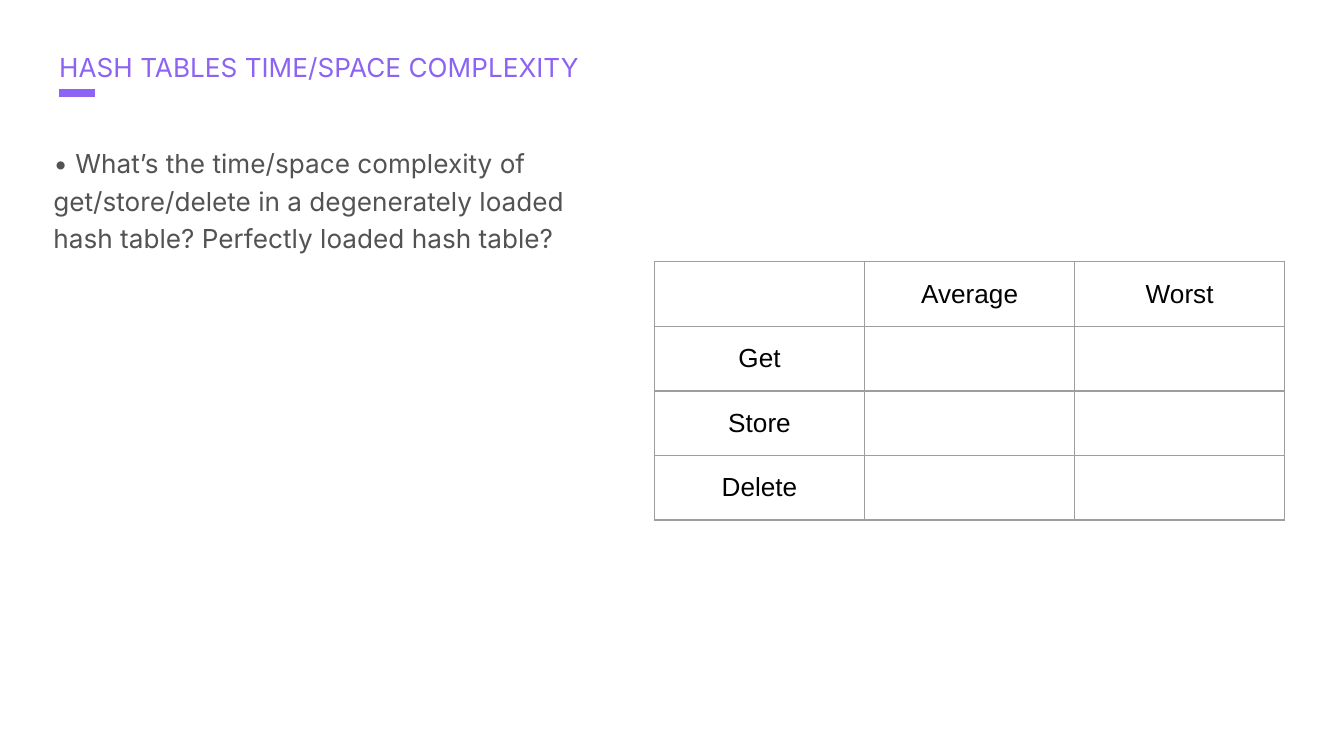
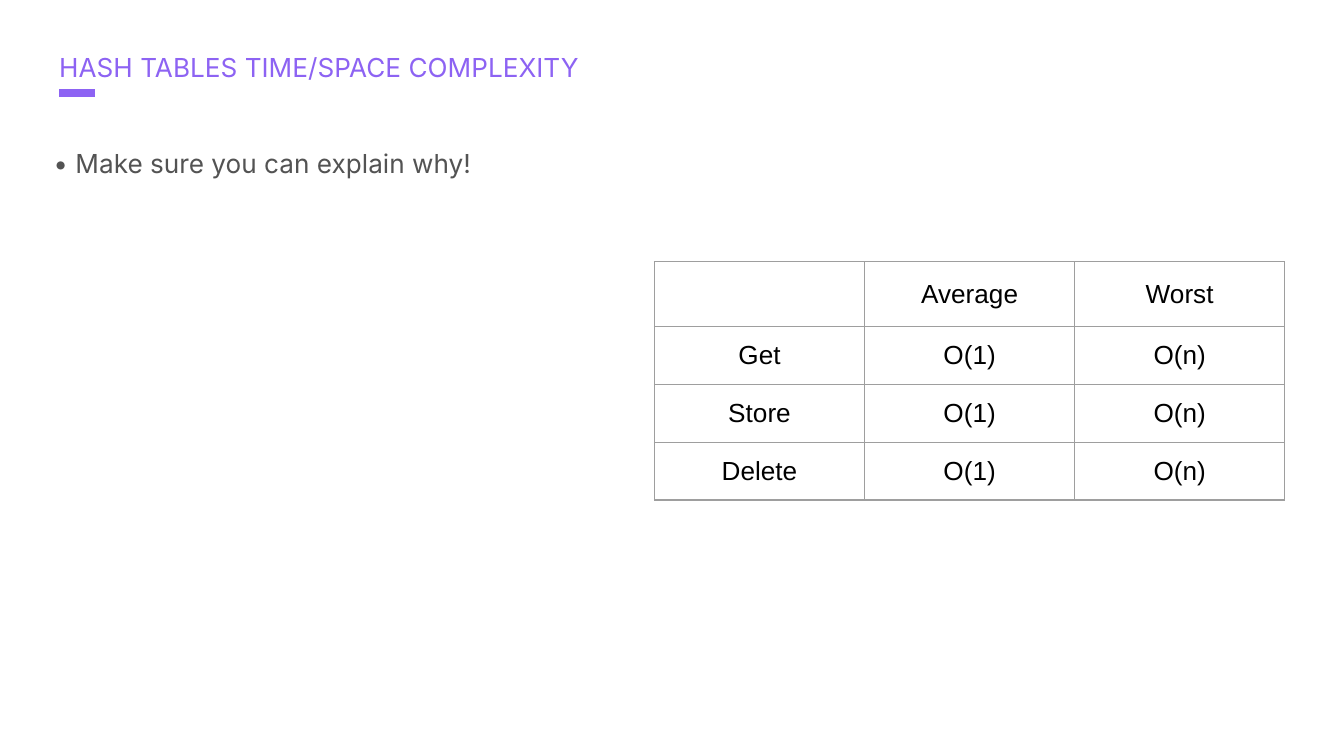
from lxml import etree
from pptx import Presentation
from pptx.dml.color import RGBColor
from pptx.enum.shapes import MSO_CONNECTOR
from pptx.enum.text import MSO_ANCHOR, PP_ALIGN
from pptx.oxml.ns import qn
from pptx.util import Cm, Pt

TITLE = "HASH TABLES TIME/SPACE COMPLEXITY"
HEAD = ("", "Average", "Worst")
SLIDES = [
    {
        "note": "• What’s the time/space complexity of get/store/delete in a "
                "degenerately loaded hash table? Perfectly loaded hash table?",
        "rows": [HEAD, ("Get", "", ""), ("Store", "", ""), ("Delete", "", "")],
    },
    {
        "note": "• Make sure you can explain why!",
        "rows": [HEAD] + [(name, "O(1)", "O(n)")
                          for name in ("Get", "Store", "Delete")],
    },
]

PURPLE = RGBColor(0x8D, 0x63, 0xF3)
GRAY = RGBColor(0x53, 0x53, 0x53)
BLACK = RGBColor(0, 0, 0)
RULE = RGBColor(0x9E, 0x9E, 0x9E)
STRAIGHT = MSO_CONNECTOR.STRAIGHT
TOP, MIDDLE, BOTTOM = MSO_ANCHOR.TOP, MSO_ANCHOR.MIDDLE, MSO_ANCHOR.BOTTOM
CENTER = PP_ALIGN.CENTER

LEFT = Cm(1.12)
BAR_Y = Cm(1.76)
COL = Cm(3.97)
TALL, SHORT = Cm(1.22), Cm(1.06)  # rows with and without an empty cell


def add_run(par, text, font, color):
    run = par.add_run()
    run.text = text
    run.font.name = font
    run.font.size = Pt(14)
    run.font.color.rgb = color


def set_inset(box, size):
    box.margin_left = box.margin_right = size
    box.margin_top = box.margin_bottom = size


def add_text(slide, text, place, color, inset, anchor):
    frame = slide.shapes.add_textbox(*place).text_frame
    frame.word_wrap = True
    frame.vertical_anchor = anchor
    set_inset(frame, inset)
    par = frame.paragraphs[0]
    add_run(par, text, "Inter", color)
    return par


def add_title(slide):
    bar = slide.shapes.add_connector(STRAIGHT, LEFT, BAR_Y, Cm(1.79), BAR_Y)
    bar.line.color.rgb = PURPLE
    bar.line.width = Pt(4)
    etree.SubElement(bar._element.spPr, qn("a:effectLst"))
    add_text(slide, TITLE, (LEFT, Cm(0.99), Cm(23.14), Cm(0.58)),
             PURPLE, 0, BOTTOM)


def add_note(slide, text):
    par = add_text(slide, text, (Cm(0.91), Cm(2.57), Cm(10.95), Cm(10.5)),
                   GRAY, Cm(0.1), TOP)
    par.line_spacing = 1.2
    par.space_before = Pt(5)


def add_edges(cell):
    props = cell._tc.get_or_add_tcPr()
    for side in ("lnL", "lnR", "lnT", "lnB"):
        edge = etree.SubElement(props, qn(f"a:{side}"), w=str(Pt(0.75)))
        fill = etree.SubElement(edge, qn("a:solidFill"))
        etree.SubElement(fill, qn("a:srgbClr"), val=str(RULE))


def add_grid(slide, rows):
    sizes = [SHORT if all(row) else TALL for row in rows]
    wide = len(HEAD)
    table = slide.shapes.add_table(len(rows), wide, Cm(12.37), Cm(4.95),
                                   COL * wide, sum(sizes)).table
    table.first_row = table.horz_banding = False
    for col in table.columns:
        col.width = COL
    for r, (row, size) in enumerate(zip(rows, sizes)):
        table.rows[r].height = size
        for c, text in enumerate(row):
            cell = table.cell(r, c)
            add_edges(cell)
            cell.fill.background()
            if text:
                cell.vertical_anchor = MIDDLE
                set_inset(cell, Cm(0.25))
                par = cell.text_frame.paragraphs[0]
                par.alignment = CENTER
                add_run(par, text, "Arial", BLACK)


def main():
    deck = Presentation()
    deck.slide_width, deck.slide_height = Cm(25.4), Cm(14.29)
    for item in SLIDES:
        slide = deck.slides.add_slide(deck.slide_layouts[6])
        add_title(slide)
        add_note(slide, item["note"])
        add_grid(slide, item["rows"])
    deck.save("out.pptx")


if __name__ == "__main__":
    main()
